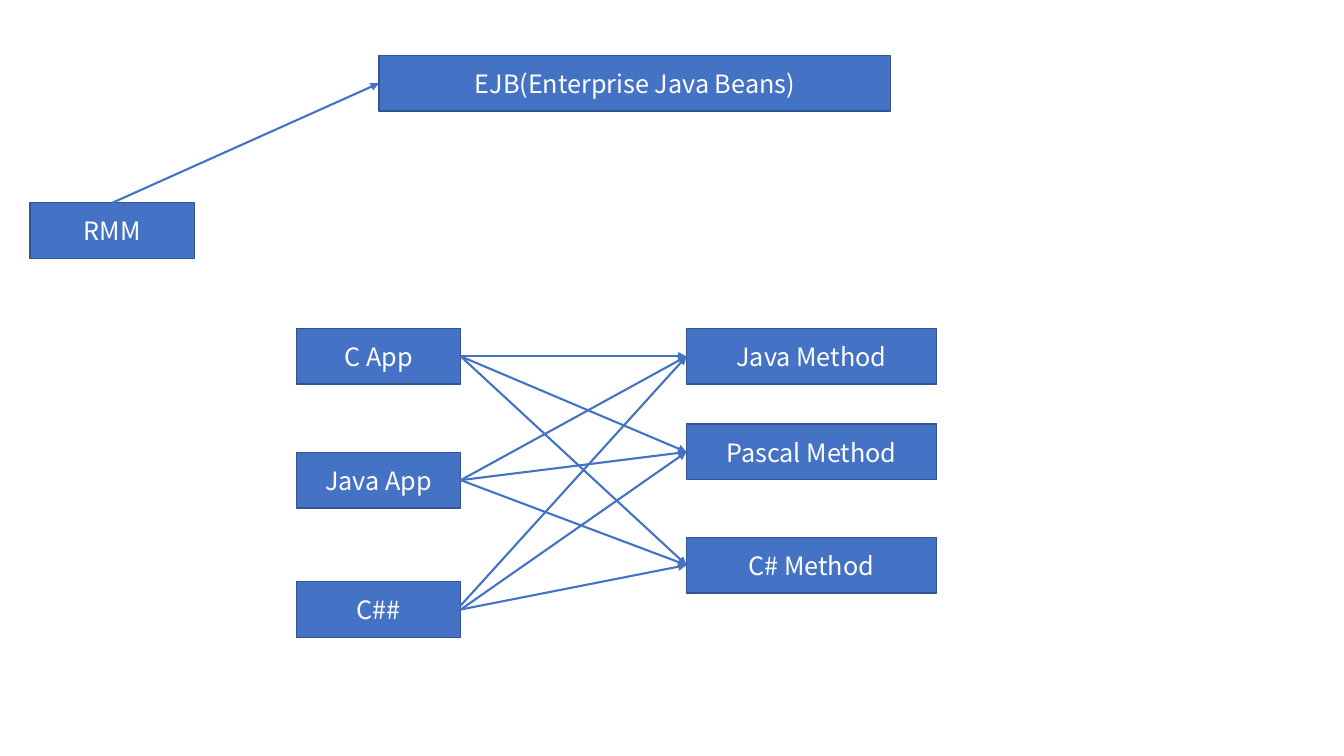
from lxml import etree
from pptx import Presentation
from pptx.dml.color import RGBColor
from pptx.enum.shapes import MSO_CONNECTOR, MSO_SHAPE
from pptx.enum.text import MSO_ANCHOR, PP_ALIGN
from pptx.oxml.ns import qn
from pptx.util import Cm, Pt

RECT = MSO_SHAPE.RECTANGLE
STRAIGHT = MSO_CONNECTOR.STRAIGHT
MIDDLE = MSO_ANCHOR.MIDDLE
CENTER = PP_ALIGN.CENTER
TOP, LEFT, RIGHT = 0, 1, 3


def color(code):
    return RGBColor.from_string(code)


class Board:
    font = "Noto Sans CJK KR"
    size = Pt(18)
    fill = "4472C4"
    edge = "325491"
    ink = "FFFFFF"
    high = 1.4

    def __init__(self, slide):
        self.shapes = slide.shapes

    def box(self, text, left, top, width):
        box = self.shapes.add_shape(RECT, Cm(left), Cm(top), Cm(width), Cm(self.high))
        box.shadow.inherit = False
        box.fill.solid()
        box.fill.fore_color.rgb = color(self.fill)
        box.line.color.rgb = color(self.edge)
        box.line.width = Pt(1)
        frame = box.text_frame
        frame.text = text
        frame.word_wrap = True
        frame.vertical_anchor = MIDDLE
        para = frame.paragraphs[0]
        para.alignment = CENTER
        font = para.runs[0].font
        font.name = self.font
        font.size = self.size
        font.color.rgb = color(self.ink)
        return box

    def arrow(self, start, side, end, lift=0):
        x = start.left + (start.width // 2 if side == TOP else start.width)
        y = start.top + (0 if side == TOP else start.height // 2) - Cm(lift)
        arrow = self.shapes.add_connector(
            STRAIGHT, x, y, end.left, end.top + end.height // 2)
        if not lift:
            arrow.begin_connect(start, side)
        arrow.end_connect(end, LEFT)
        arrow.line.color.rgb = color(self.fill)
        arrow.line.width = Pt(1.5)
        props = arrow._element.spPr
        etree.SubElement(props.find(qn("a:ln")), qn("a:tailEnd"), type="triangle")
        etree.SubElement(props, qn("a:effectLst"))


def main():
    deck = Presentation()
    deck.slide_width = Cm(33.87)
    deck.slide_height = Cm(19.05)
    board = Board(deck.slides.add_slide(deck.slide_layouts[6]))

    rmm = board.box("RMM", 0.76, 5.11, 4.14)
    ejb = board.box("EJB(Enterprise Java Beans)", 9.55, 1.4, 12.9)
    board.arrow(rmm, TOP, ejb)

    apps = [board.box(text, 7.47, top, 4.14) for text, top in
            (("C App", 8.28), ("Java App", 11.4), ("C##", 14.66))]
    methods = [board.box(text, 17.3, top, 6.3) for text, top in
               (("Java Method", 8.28), ("Pascal Method", 10.69), ("C# Method", 13.54))]
    for app in apps:
        for method in methods:
            steep = app is apps[-1] and method is methods[0]
            board.arrow(app, RIGHT, method, 0.1 if steep else 0)

    deck.save("out.pptx")


if __name__ == "__main__":
    main()
